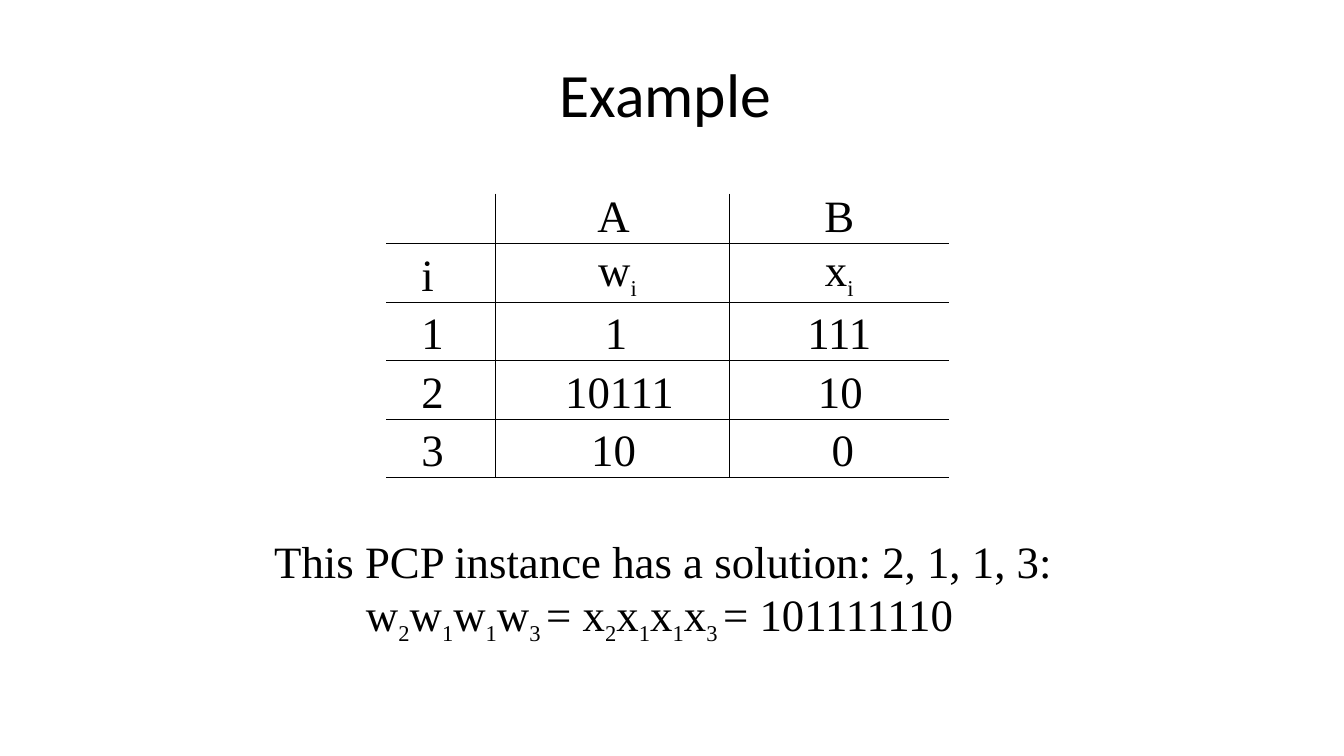
from lxml import etree
from pptx import Presentation
from pptx.dml.color import RGBColor
from pptx.enum import text as t
from pptx.oxml.ns import qn
from pptx.util import Inches, Pt

COLORS = {"ink": "000000", "rule": "000000"}
SERIF = "Times New Roman"
COLUMN_WIDTHS = [1.08, 2.33, 2.17]
ROW_HEIGHTS = [0.5] + [0.58] * 4
INSTANCE = [
    ["", "A", "B"],
    ["i", "w{i}", "x{i}"],
    ["1", "1", "111"],
    ["2", "10111", "10"],
    ["3", "10", "0"],
]
INDENTS = [
    [0, 0.02, 0],
    [0.35, 0.1, 0],
    [0.35, 0.07, 0],
    [0.35, 0.14, 0.02],
    [0.35, 0.02, 0.07],
]


def write(frame, content, size=32, font=SERIF, align=t.PP_ALIGN.LEFT,
          left=0, first=0, spacing=None):
    """Fill the frame with one paragraph; parts in braces are subscripts."""
    frame.word_wrap = True
    paragraph = frame.paragraphs[0]
    paragraph.alignment = align
    if spacing:
        paragraph.line_spacing = Pt(spacing)
    properties = paragraph._p.get_or_add_pPr()
    properties.set("marL", str(Inches(left)))
    properties.set("indent", str(Inches(first)))

    def add_run(part, subscript):
        if not part:
            return
        run = paragraph.add_run()
        run.text = part
        run.font.size = Pt(27.8 if subscript else size)
        run.font.name = font
        run.font.color.rgb = RGBColor.from_string(COLORS["ink"])
        if subscript:
            run.font._element.set("baseline", "-24000")

    opening, *rest = content.split("{")
    add_run(opening, False)
    for piece in rest:
        subscript, _, normal = piece.partition("}")
        add_run(subscript, True)
        add_run(normal, False)


def add_text(slide, box, content, anchor=t.MSO_ANCHOR.TOP, **style):
    frame = slide.shapes.add_textbox(*map(Inches, box)).text_frame
    frame.margin_left = frame.margin_right = frame.margin_bottom = 0
    frame.margin_top = Inches(0.01)
    frame.vertical_anchor = anchor
    write(frame, content, **style)


def set_borders(cell, ruled_sides):
    """Rule the named sides of the cell (L, R, T, B) and clear the others."""
    properties = cell._tc.get_or_add_tcPr()
    for side in "LRTB":
        line = etree.SubElement(properties, qn(f"a:ln{side}"))
        if side in ruled_sides:
            line.set("w", str(Pt(0.75)))
            fill = etree.SubElement(line, qn("a:solidFill"))
            etree.SubElement(fill, qn("a:srgbClr"), val=COLORS["rule"])
        else:
            etree.SubElement(line, qn("a:noFill"))


def add_instance_table(slide, box):
    rows, columns = len(INSTANCE), len(INSTANCE[0])
    table = slide.shapes.add_table(rows, columns, *map(Inches, box)).table
    table.first_row = table.horz_banding = False
    for column, width in zip(table.columns, COLUMN_WIDTHS):
        column.width = Inches(width)
    for row, height in zip(table.rows, ROW_HEIGHTS):
        row.height = Inches(height)
    for r, values in enumerate(INSTANCE):
        for c, value in enumerate(values):
            cell = table.cell(r, c)
            cell.margin_left = cell.margin_right = cell.margin_bottom = 0
            cell.margin_top = Inches(0.08 if r else 0)
            set_borders(cell, "B" + "T" * (r > 0) + "L" * (c > 0)
                        + "R" * (c < columns - 1))
            cell.fill.background()
            write(cell.text_frame, value, left=INDENTS[r][c], spacing=35,
                  align=t.PP_ALIGN.CENTER if c else t.PP_ALIGN.LEFT)


def build_example_slide(slide):
    add_text(slide, (5.55, 0.54, 2.24, 0.76), "Example", size=44,
             font="Calibri", anchor=t.MSO_ANCHOR.MIDDLE)
    add_instance_table(slide, (3.83, 1.92, sum(COLUMN_WIDTHS), sum(ROW_HEIGHTS)))
    add_text(slide, (2.68, 5.28, 7.83, 1.09),
             "This PCP instance has a solution: 2, 1, 1, 3: "
             "w{2}w{1}w{1}w{3 }= x{2}x{1}x{1}x{3 }= 101111110",
             left=0.95, first=-0.91)


def main():
    deck = Presentation()
    deck.slide_width, deck.slide_height = Inches(13.33), Inches(7.5)
    build_example_slide(deck.slides.add_slide(deck.slide_layouts[6]))
    deck.save("out.pptx")


if __name__ == "__main__":
    main()
